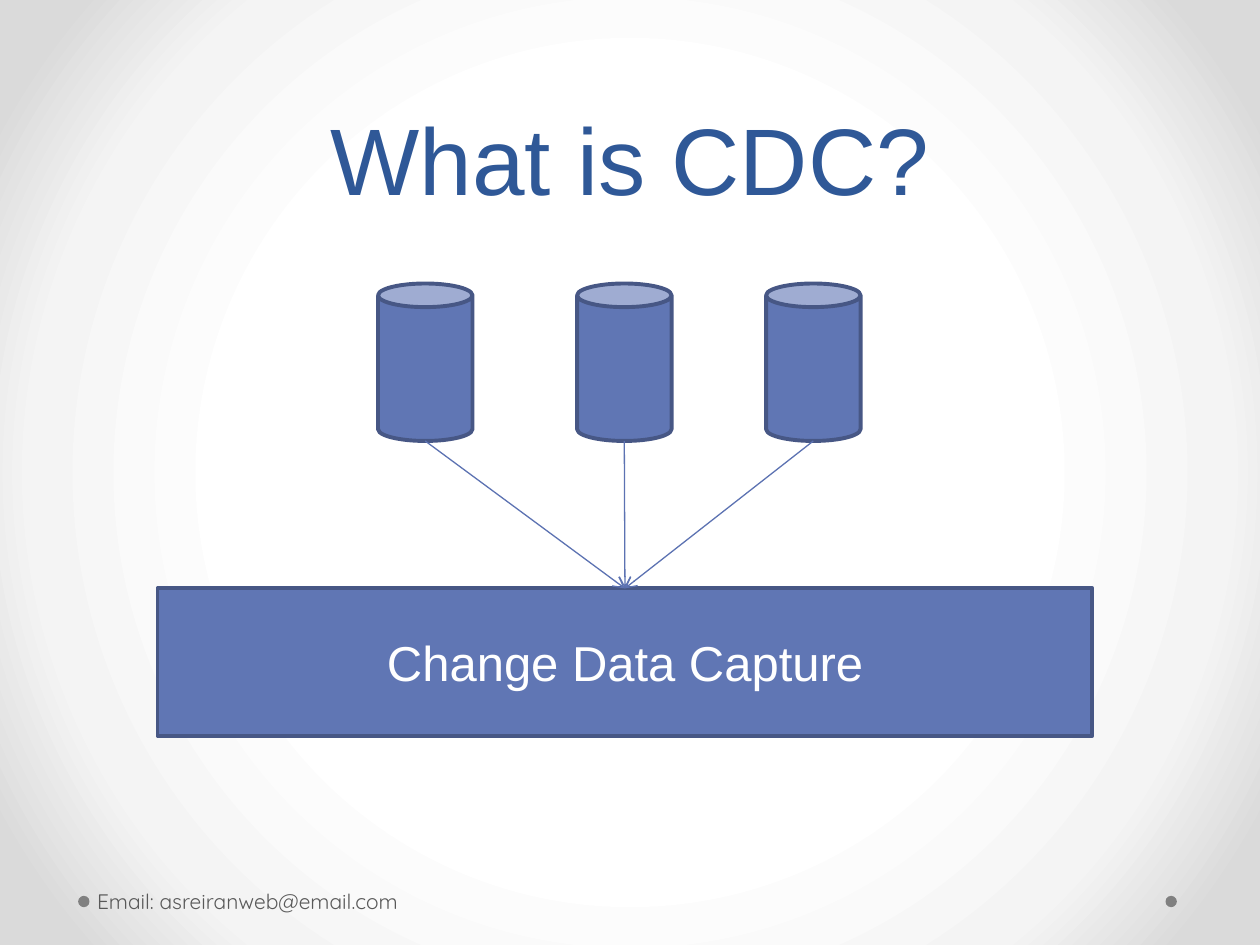
from lxml.etree import SubElement
from pptx import Presentation
from pptx.dml.color import RGBColor
from pptx.enum.shapes import MSO_CONNECTOR, MSO_SHAPE
from pptx.enum.text import MSO_ANCHOR, PP_ALIGN
from pptx.oxml.ns import qn
from pptx.util import Inches, Pt

COLORS = {
    "title": "2F5897",
    "block": "6076B4",
    "outline": "475785",
    "arrow": "5C72B2",
    "label": "FFFFFF",
    "footer": "595959",
    "dot": "808080",
}
BACKDROP = [(50, "FFFFFF"), (76, "F4F4F4"), (92, "DADADA")]
DATABASE_LEFTS = [3, 4.58, 6.08]
DATABASE_TOP, DATABASE_WIDTH, DATABASE_HEIGHT = 2.25, 0.75, 1.25
CAPTURE_BOX = (1.25, 4.67, 7.42, 1.17)


def rgb(name):
    return RGBColor.from_string(COLORS[name])


def paint_backdrop(slide):
    slide.background.fill.gradient()
    gradient = slide.element.find(".//" + qn("a:gradFill"))
    for child in list(gradient):
        gradient.remove(child)
    stops = SubElement(gradient, qn("a:gsLst"))
    for position, color in BACKDROP:
        stop = SubElement(stops, qn("a:gs"), pos=str(position * 1000))
        SubElement(stop, qn("a:srgbClr"), val=color)
    circle = SubElement(gradient, qn("a:path"), path="circle")
    SubElement(circle, qn("a:fillToRect"), l="50000", t="50000", r="50000", b="50000")


def add_block(slide, preset, box, fill, outline=None):
    block = slide.shapes.add_shape(preset, *map(Inches, box))
    block.shadow.inherit = False
    block.fill.solid()
    block.fill.fore_color.rgb = rgb(fill)
    if outline:
        block.line.color.rgb = rgb(outline)
        block.line.width = Pt(2.25)
    else:
        block.line.fill.background()
    return block


def write(holder, text, color, size, font="Arial", align=PP_ALIGN.CENTER,
          spacing=None, **frame_format):
    frame = holder.text_frame
    frame_format = {"word_wrap": True, "vertical_anchor": MSO_ANCHOR.MIDDLE, **frame_format}
    for attribute, value in frame_format.items():
        setattr(frame, attribute, value)
    paragraph = frame.paragraphs[0]
    paragraph.alignment = align
    paragraph.line_spacing = spacing
    run = paragraph.add_run()
    run.text = text
    for attribute, value in {"name": font, "size": Pt(size)}.items():
        setattr(run.font, attribute, value)
    run.font.color.rgb = rgb(color)


def add_text(slide, box, *args, **formats):
    write(slide.shapes.add_textbox(*map(Inches, box)), *args, **formats)


def add_arrow(slide, start, end):
    arrow = slide.shapes.add_connector(MSO_CONNECTOR.STRAIGHT, *map(Inches, start + end))
    arrow.line.color.rgb = rgb("arrow")
    arrow.line.width = Pt(0.75)
    SubElement(arrow.line._get_or_add_ln(), qn("a:tailEnd"), type="arrow")
    SubElement(arrow._element.spPr, qn("a:effectLst"))


def main():
    deck = Presentation()
    deck.slide_width, deck.slide_height = Inches(10), Inches(7.5)
    slide = deck.slides.add_slide(deck.slide_layouts[6])
    paint_backdrop(slide)

    for dot_left in (9.25, 0.62):
        add_block(slide, MSO_SHAPE.OVAL, (dot_left, 7.11, 0.09, 0.09), "dot")
    add_text(slide, (0.5, 0, 9, 1.75), "What is CDC?", "title", 54,
             spacing=Pt(58), vertical_anchor=MSO_ANCHOR.BOTTOM)

    for left in DATABASE_LEFTS:
        add_block(slide, MSO_SHAPE.CAN,
                  (left, DATABASE_TOP, DATABASE_WIDTH, DATABASE_HEIGHT), "block", "outline")
    capture = add_block(slide, MSO_SHAPE.RECTANGLE, CAPTURE_BOX, "block", "outline")
    write(capture, "Change Data Capture", "label", 28)

    capture_left, capture_top, capture_width, _ = CAPTURE_BOX
    target = (capture_left + capture_width / 2, capture_top)
    for left in DATABASE_LEFTS:
        source = (left + DATABASE_WIDTH / 2, DATABASE_TOP + DATABASE_HEIGHT)
        add_arrow(slide, source, target)

    add_text(slide, (0.72, 6.95, 3.11, 0.4), "Email: asreiranweb@email.com", "footer", 12,
             font="Quicksand", align=PP_ALIGN.LEFT, margin_left=Inches(0.05))

    deck.save("out.pptx")


if __name__ == "__main__":
    main()
